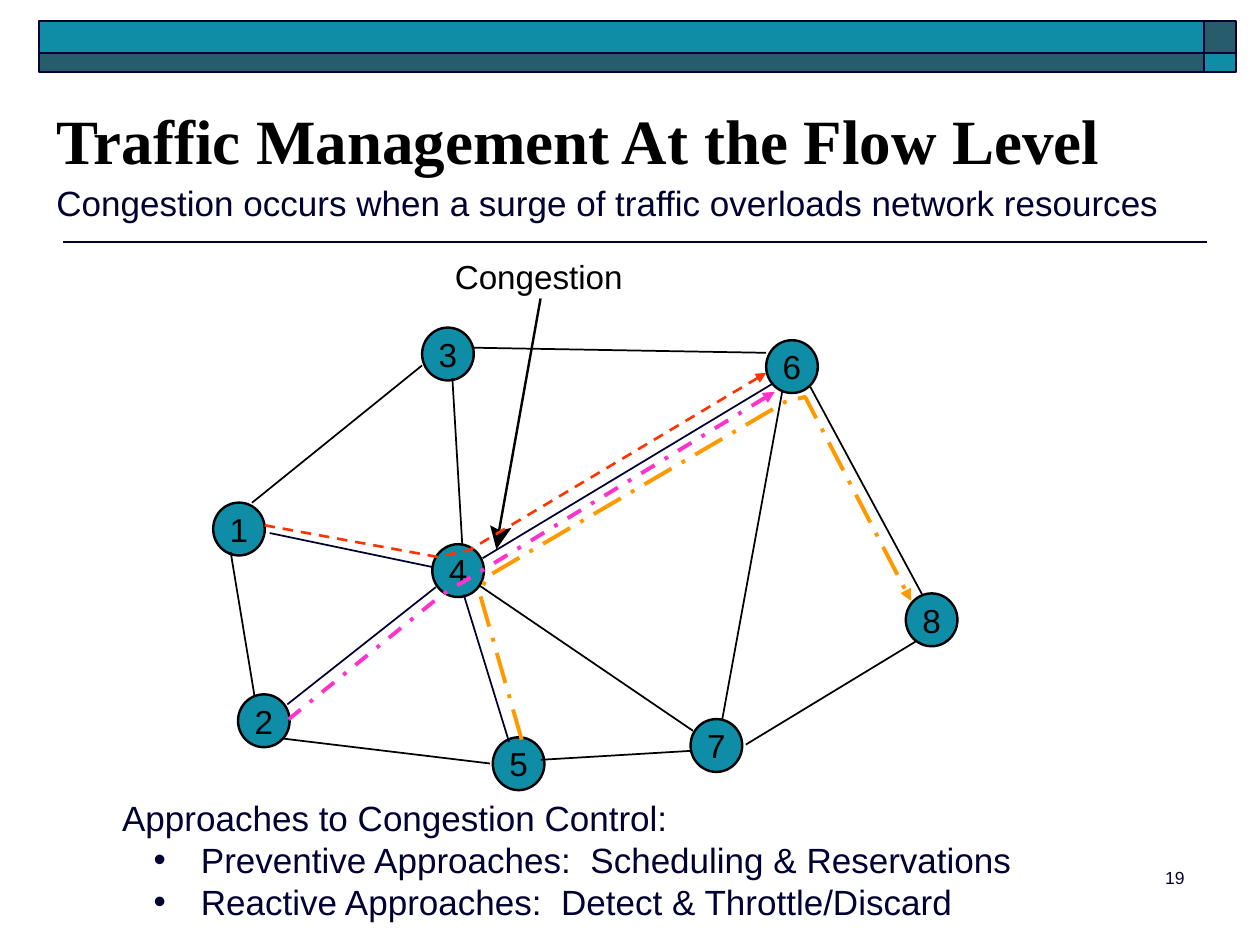
import dataclasses
import typing

import lxml.etree
import pptx
import pptx.dml.color
import pptx.enum.dml
import pptx.enum.shapes
import pptx.enum.text
import pptx.oxml.ns
import pptx.util

Pt = pptx.util.Pt
Align = pptx.enum.text.PP_ALIGN
Anchor = pptx.enum.text.MSO_ANCHOR
Dash = pptx.enum.dml.MSO_LINE
Kind = pptx.enum.shapes.MSO_SHAPE
Spot = tuple[float, float]


@dataclasses.dataclass(frozen=True)
class Theme:
    """Colours, fonts and sizes of the slide."""
    teal: str = "108DA6"
    slate: str = "275C6D"
    navy: str = "000033"
    black: str = "000000"
    red: str = "FF3300"
    pink: str = "FF33CC"
    orange: str = "FF9900"
    sans: str = "Arial"
    serif: str = "Times New Roman"
    title: float = 36
    body: float = 20
    label: float = 19
    number: float = 10
    thin: float = 1
    thick: float = 1.4


@dataclasses.dataclass(frozen=True)
class Node:
    """A numbered router, by its top left corner."""
    name: str
    left: float
    top: float


@dataclasses.dataclass(frozen=True)
class Link:
    """A straight line between two points."""
    start: Spot
    end: Spot
    color: str = Theme.black
    width: float = Theme.thin


@dataclasses.dataclass(frozen=True)
class Flow:
    """A dashed traffic path that ends in an arrow."""
    spots: list[Spot]
    color: str
    width: float
    dash: typing.Any


THEME = Theme()
NODE_W, NODE_H = 29.5, 30.2
BAND_X, BAND_Y, BAND_W, BOX_W = 22.2, 12.2, 666, 18
TALL, LOW = 18, 10.8

NODES = [
    Node("4", 247, 311), Node("8", 517.6, 339.1), Node("6", 437.8, 194.4),
    Node("3", 241.2, 187.2), Node("2", 136, 396.8), Node("1", 121.8, 287.2),
    Node("5", 281.6, 421.3), Node("7", 394.6, 410.9),
]
LINKS = [
    Link((264.2, 311.8), (258.5, 216)), Link((463, 221), (527, 339.8)),
    Link((280, 436.3), (161.3, 422)), Link((274.3, 334.8), (396, 417.6)),
    Link((426.2, 425.5), (523.4, 366.5)), Link((144, 287.3), (241.2, 208.8)),
    Link((270, 198.7), (437.8, 201.6)), Link((131.8, 315.4), (145.4, 397.4)),
    Link((308.9, 434.2), (394.6, 429.1)), Link((447.1, 223.2), (412.6, 411.8)),
    Link((308.9, 170.6), (285.1, 303.8), width=THEME.thick),
    Link((154.1, 304.6), (247, 324), THEME.navy),
    Link((249.1, 335.5), (164.2, 402.5), THEME.navy),
    Link((275.8, 319), (442.1, 218.9), THEME.navy),
    Link((265, 339.8), (290.9, 424), THEME.navy),
]
HEAD = [(280.1, 300.2), (285.8, 303.1), (292.3, 301.7), (283.7, 313.9)]
FLOWS = [
    Flow([(151.2, 300.2), (249.8, 318.2), (267.8, 314.6), (437.8, 213.1)],
         THEME.red, 1.5, Dash.DASH),
    Flow([(164.9, 411.1), (252.7, 339.8), (276.5, 325.4), (442.8, 223.9)],
         THEME.pink, 2.25, Dash.DASH_DOT),
    Flow([(298.1, 422.6), (274.3, 339.8), (277.9, 329.8), (448.6, 229.7),
          (460.1, 226.8), (520.6, 343.4)],
         THEME.orange, 2.25, Dash.LONG_DASH_DOT),
]
LIST = [
    "Approaches to Congestion Control:",
    "Preventive Approaches:  Scheduling & Reservations",
    "Reactive Approaches:  Detect & Throttle/Discard",
]


def tint(color: str) -> pptx.dml.color.RGBColor:
    """Turn a hex code into a colour."""
    return pptx.dml.color.RGBColor.from_string(color)


def tag(parent: typing.Any, name: str, **attrs: str) -> None:
    """Append a drawing element to a parent."""
    lxml.etree.SubElement(parent, pptx.oxml.ns.qn(name), attrs)


def place(shape: typing.Any, *box: float) -> None:
    """Move and size a shape."""
    shape.left, shape.top, shape.width, shape.height = map(Pt, box)


def write(shape: typing.Any, *lines: str, size: float = THEME.body,
          font: str = THEME.sans, color: str = THEME.navy, bold: bool = False,
          align: typing.Any = Align.LEFT, anchor: typing.Any = Anchor.TOP,
          inset: Spot = (7.2, 3.6), wrap: bool = True,
          pitch: float | None = None) -> None:
    """Fill a shape with formatted paragraphs."""
    frame = shape.text_frame
    frame.text = "\n".join(lines)
    frame.auto_size = pptx.enum.text.MSO_AUTO_SIZE.NONE
    frame.word_wrap, frame.vertical_anchor = wrap, anchor
    frame.margin_left = frame.margin_right = Pt(inset[0])
    frame.margin_top = frame.margin_bottom = Pt(inset[1])
    for para in frame.paragraphs:
        para.alignment, para.space_before = align, Pt(0)
        if pitch:
            para.line_spacing = Pt(pitch)
        face = para.runs[0].font
        face.name, face.size, face.bold = font, Pt(size), bold
        face.color.rgb = tint(color)


def bullet(para: typing.Any, left: float, hang: float, mark: str) -> None:
    """Set the indent and bullet of a paragraph; no mark means none."""
    props = para._p.get_or_add_pPr()
    props.set("marL", str(Pt(left)))
    props.set("indent", str(Pt(-hang)))
    if mark:
        tag(props, "a:buFont", typeface=THEME.sans)
        tag(props, "a:buChar", char=mark)
    else:
        tag(props, "a:buNone")


def solid(shapes: typing.Any, kind: typing.Any, box: tuple, fill: str,
          line: str, width: float) -> typing.Any:
    """Draw a filled and outlined preset shape."""
    shape = shapes.add_shape(kind, *map(Pt, box))
    shape.shadow.inherit = False
    shape.fill.solid()
    shape.fill.fore_color.rgb = tint(fill)
    shape.line.color.rgb = tint(line)
    shape.line.width = Pt(width)
    return shape


def join(shapes: typing.Any, link: Link) -> None:
    """Draw a straight link."""
    line = shapes.add_connector(pptx.enum.shapes.MSO_CONNECTOR.STRAIGHT,
                                *map(Pt, link.start + link.end))
    line.line.color.rgb = tint(link.color)
    line.line.width = Pt(link.width)
    tag(line._element.spPr, "a:effectLst")


def trace(shapes: typing.Any, spots: list[Spot], close: bool) -> typing.Any:
    """Build an outline through the given points."""
    first, *rest = [(Pt(x), Pt(y)) for x, y in spots]
    maker = shapes.build_freeform(*first)
    maker.add_line_segments(rest, close=close)
    shape = maker.convert_to_shape()
    shape.shadow.inherit = False
    return shape


def route(shapes: typing.Any, flow: Flow) -> None:
    """Draw a dashed flow with its arrowhead."""
    shape = trace(shapes, flow.spots, False)
    shape.fill.background()
    shape.line.color.rgb = tint(flow.color)
    shape.line.width = Pt(flow.width)
    shape.line.dash_style = flow.dash
    tag(shape.line._get_or_add_ln(), "a:tailEnd", type="triangle")


def band(shapes: typing.Any) -> None:
    """Draw the two-tone header band and the rule under the title."""
    join(shapes, Link((689.8, 138.2), (36, 138.2), THEME.navy))
    tones = THEME.teal, THEME.slate
    for row, (top, high) in enumerate([(BAND_Y, TALL), (BAND_Y + TALL, LOW)]):
        for col, (left, wide) in enumerate(
                [(BAND_X, BAND_W), (BAND_X + BAND_W, BOX_W)]):
            solid(shapes, Kind.RECTANGLE, (left, top, wide, high),
                  tones[(row + col) % 2], THEME.navy, THEME.thin)


def label(shapes: typing.Any, box: tuple, text: str, **style: typing.Any) -> None:
    """Add a text box."""
    write(shapes.add_textbox(*map(Pt, box)), text, **style)


def main() -> None:
    """Build and save the slide."""
    deck = pptx.Presentation()
    deck.slide_width, deck.slide_height = Pt(720), Pt(540)
    slide = deck.slides.add_slide(deck.slide_layouts[1])
    shapes = slide.shapes
    band(shapes)
    place(shapes.title, 25.2, 15.1, 669.6, 90)
    write(shapes.title, "Traffic Management At the Flow Level", bold=True,
          size=THEME.title, font=THEME.serif, color=THEME.black,
          anchor=Anchor.BOTTOM)
    body = slide.placeholders[1]
    place(body, 62.6, 451.4, 532.8, 79.2)
    write(body, *LIST, pitch=24)
    for rank, para in enumerate(body.text_frame.paragraphs):
        bullet(para, *((45, 27, "•") if rank else (0, 0, "")))

    plain = dict(size=THEME.label, color=THEME.black, align=Align.CENTER,
                 inset=(0, 0), wrap=False)
    for node in NODES:
        disc = solid(shapes, Kind.OVAL, (node.left, node.top, NODE_W, NODE_H),
                     THEME.teal, THEME.black, THEME.thick)
        write(disc, node.name, anchor=Anchor.MIDDLE, **plain)
    for link in LINKS:
        join(shapes, link)
    tip = trace(shapes, HEAD, True)
    tip.fill.solid()
    tip.fill.fore_color.rgb = tint(THEME.black)
    tip.line.fill.background()
    for flow in FLOWS:
        route(shapes, flow)

    label(shapes, (260, 146.2, 95.8, 23), "Congestion", **plain)
    label(shapes, (25.2, 100.1, 664.6, 31.7),
          "Congestion occurs when a surge of traffic overloads network resources")
    label(shapes, (534.2, 491.8, 149.8, 36), "19", size=THEME.number,
          align=Align.RIGHT)
    deck.save("out.pptx")


main()
